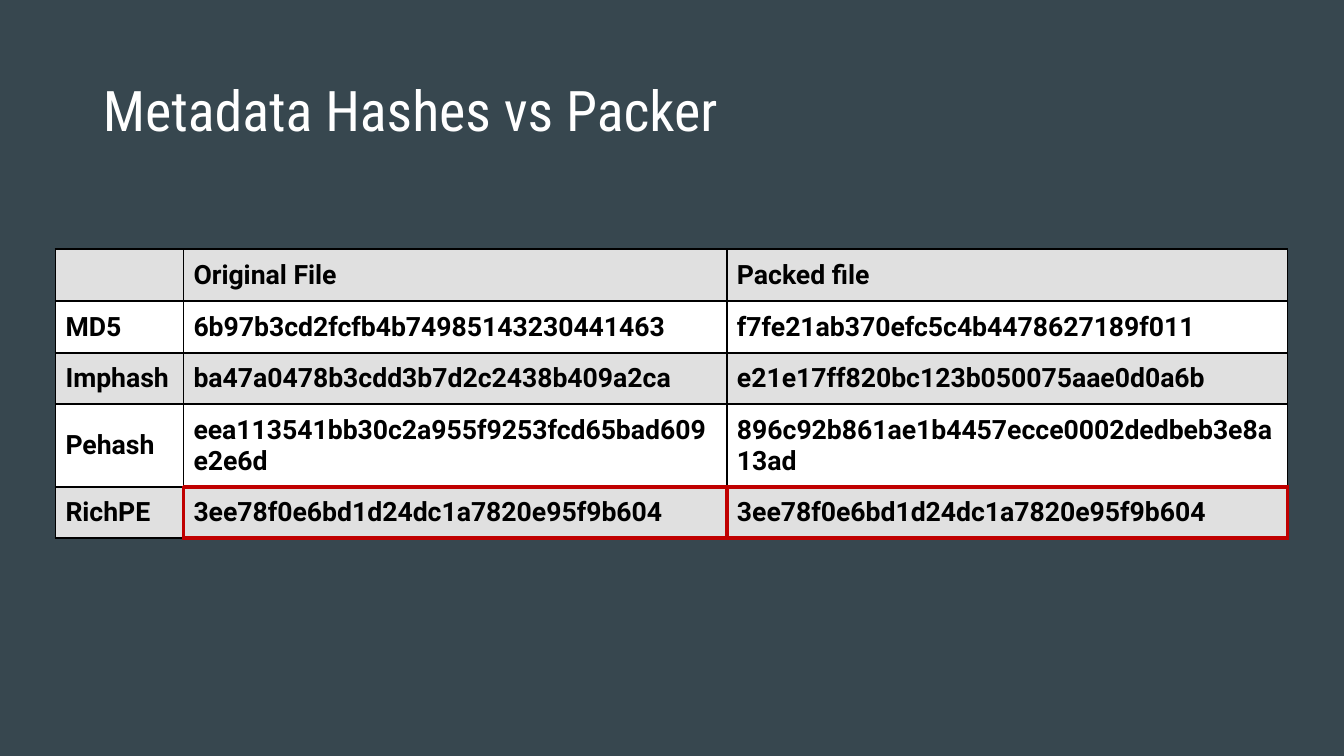
from dataclasses import dataclass
from lxml.etree import SubElement
from pptx import Presentation
from pptx.dml.color import RGBColor
from pptx.enum.text import MSO_ANCHOR, MSO_AUTO_SIZE, PP_ALIGN
from pptx.oxml.ns import qn
from pptx.util import Inches, Pt

BLACK, WHITE, GREY, RED, SLATE = "000000", "FFFFFF", "E0E0E0", "C00000", "37474F"
COLUMN_WIDTHS = (12.7, 53.9, 55.6)


@dataclass(frozen=True)
class HashRow:
    label: str
    before: str
    packed: str
    height: float = 5.1
    highlight: bool = False


ROWS = [
    HashRow("", "Original File", "Packed file", 5.2),
    HashRow("MD5", "6b97b3cd2fcfb4b74985143230441463", "f7fe21ab370efc5c4b4478627189f011"),
    HashRow("Imphash", "ba47a0478b3cdd3b7d2c2438b409a2ca", "e21e17ff820bc123b050075aae0d0a6b"),
    HashRow("Pehash", "eea113541bb30c2a955f9253fcd65bad609e2e6d",
            "896c92b861ae1b4457ecce0002dedbeb3e8a13ad", 8.2),
    HashRow("RichPE", "3ee78f0e6bd1d24dc1a7820e95f9b604",
            "3ee78f0e6bd1d24dc1a7820e95f9b604", highlight=True),
]


def grid(units: float) -> int:
    """Length of a number of grid columns or rows, ten to the inch."""
    return Inches(units / 10)


def rgb(color: str) -> RGBColor:
    return RGBColor.from_string(color)


def style_runs(p, font: str, size: float, color: str, bold: bool = False) -> None:
    for r in p.runs:
        r.font.name, r.font.size, r.font.bold = font, Pt(size), bold
        r.font.color.rgb = rgb(color)


def is_highlighted(row: int, col: int) -> bool:
    return 0 <= row < len(ROWS) and 0 < col < len(COLUMN_WIDTHS) and ROWS[row].highlight


def set_borders(cell, row: int, col: int) -> None:
    """Red around highlighted cells, on both sides of each shared edge."""
    neighbours = {"lnL": (row, col - 1), "lnR": (row, col + 1),
                  "lnT": (row - 1, col), "lnB": (row + 1, col)}
    tc_pr = cell._tc.get_or_add_tcPr()
    for tag, neighbour in neighbours.items():
        red = is_highlighted(row, col) or is_highlighted(*neighbour)
        ln = SubElement(tc_pr, qn(f"a:{tag}"), w=str(Pt(3 if red else 1.5)))
        fill = SubElement(ln, qn("a:solidFill"))
        SubElement(fill, qn("a:srgbClr"), val=RED if red else BLACK)


def fill_cell(cell, text: str, row: int, col: int) -> None:
    set_borders(cell, row, col)
    cell.fill.solid()
    cell.fill.fore_color.rgb = rgb(WHITE if row % 2 else GREY)
    cell.vertical_anchor = MSO_ANCHOR.MIDDLE
    cell.margin_left = cell.margin_right = cell.margin_top = cell.margin_bottom = grid(1)
    p = cell.text_frame.paragraphs[0]
    p.text = text
    p.space_before = p.space_after = Pt(5)
    style_runs(p, "Roboto", 19, BLACK, bold=True)


def add_title(slide, text: str) -> None:
    sp = slide.shapes.title
    sp.left, sp.top, sp.width, sp.height = map(grid, (9.2, 4, 115, 14.5))
    tf = sp.text_frame
    tf.text = text
    tf.word_wrap, tf.auto_size = True, MSO_AUTO_SIZE.NONE
    tf.vertical_anchor = MSO_ANCHOR.MIDDLE
    p = tf.paragraphs[0]
    p.alignment, p.line_spacing = PP_ALIGN.LEFT, 0.9
    style_runs(p, "Roboto Condensed", 40, WHITE)


def add_hash_table(slide) -> None:
    width, height = sum(COLUMN_WIDTHS), sum(row.height for row in ROWS)
    table = slide.shapes.add_table(len(ROWS), len(COLUMN_WIDTHS), grid(5.5), grid(24.7),
                                   grid(width), grid(height)).table
    table.first_row = table.horz_banding = False
    for column, column_width in zip(table.columns, COLUMN_WIDTHS):
        column.width = grid(column_width)
    for i, row in enumerate(ROWS):
        table.rows[i].height = grid(row.height)
        for j, text in enumerate((row.label, row.before, row.packed)):
            fill_cell(table.cell(i, j), text, i, j)


def main() -> None:
    # Slide and background
    prs = Presentation()
    prs.slide_width, prs.slide_height = Inches(13.33), Inches(7.5)
    slide = prs.slides.add_slide(prs.slide_layouts[5])
    slide.background.fill.solid()
    slide.background.fill.fore_color.rgb = rgb(SLATE)

    # Title and comparison of hashes
    add_title(slide, "Metadata Hashes vs Packer")
    add_hash_table(slide)
    prs.save("out.pptx")


if __name__ == "__main__":
    main()
